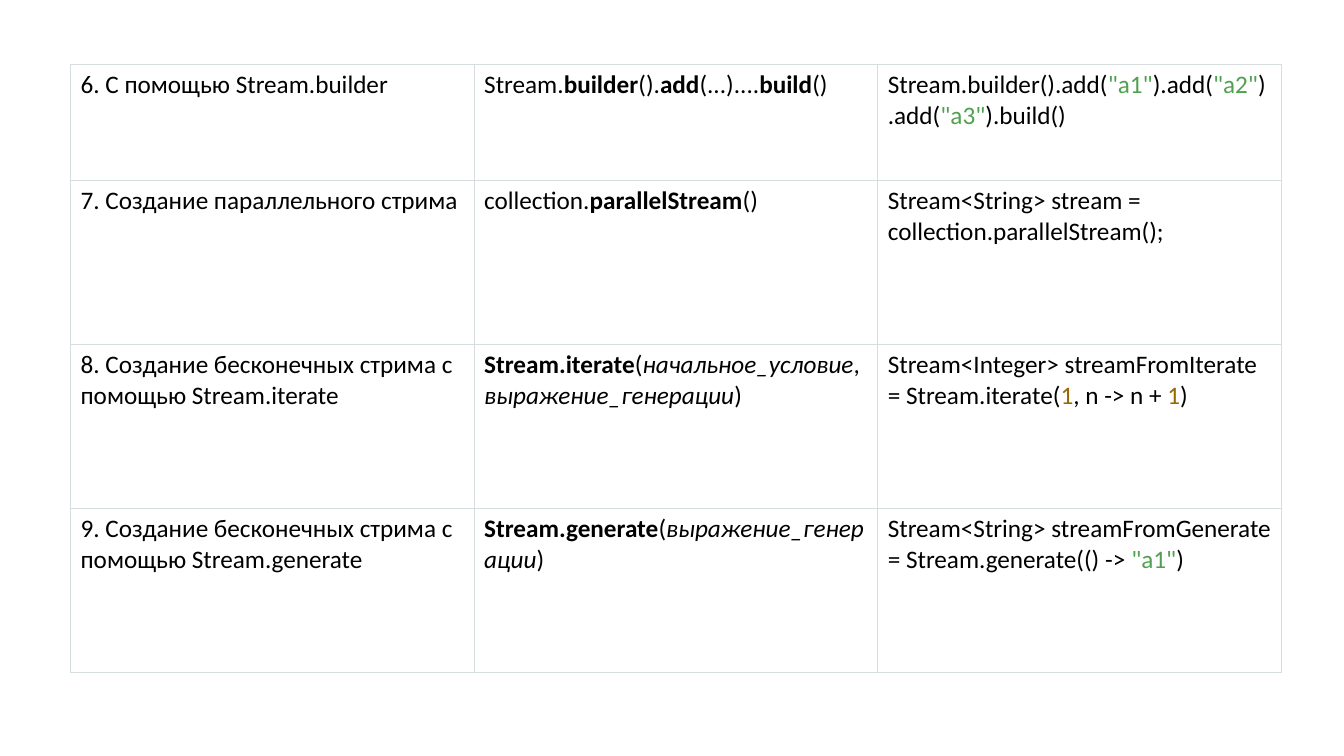
from lxml import etree
from pptx import Presentation
from pptx import util as u
from pptx.dml import color
from pptx.enum import text
from pptx.oxml import ns

COLORS = {"text": "000000", "border": "D5DDDF", "string": "50A14F", "number": "986801"}


def bold(words):
    return words, {"bold": True}


def italic(words):
    return words, {"italic": True}


def string(words):
    return words, {"tint": "string"}


def number(words):
    return words, {"tint": "number"}


STREAM_WAYS = [
    (
        ["6. С помощью Stream.builder"],
        ["Stream.", bold("builder"), "().", bold("add"), "(...)....", bold("build"), "()"],
        ["Stream.builder().add(", string('"a1"'), ").add(", string('"a2"'),
         ").add(", string('"a3"'), ").build()"],
    ),
    (
        ["7. Создание параллельного стрима"],
        ["collection.", bold("parallelStream"), "()"],
        ["Stream<String> stream = collection.parallelStream();"],
    ),
    (
        ["8. Создание бесконечных стрима с помощью Stream.iterate"],
        [bold("Stream.iterate"), "(", italic("начальное_условие"), ", ",
         italic("выражение_генерации"), ")"],
        ["Stream<Integer> streamFromIterate = Stream.iterate(", number("1"),
         ", n -> n + ", number("1"), ")"],
    ),
    (
        ["9. Создание бесконечных стрима с помощью Stream.generate"],
        [bold("Stream.generate"), "(", italic("выражение_генерации"), ")"],
        ["Stream<String> streamFromGenerate = Stream.generate(() -> ", string('"a1"'), ")"],
    ),
]


def add_text(paragraph, words, font="Calibri", size=18, tint="text", bold=False, italic=False):
    run = paragraph.add_run()
    run.text = words
    run.font.name = font
    run.font.size = u.Pt(size)
    run.font.bold = bold
    run.font.italic = italic
    run.font.color.rgb = color.RGBColor.from_string(COLORS[tint])


class SlideBuilder:
    border_width = 0.6
    insets = {"margin_left": 7.2, "margin_top": 3.6, "margin_right": 7.2, "margin_bottom": 5}

    def __init__(self, presentation):
        self.slide = presentation.slides.add_slide(presentation.slide_layouts[6])

    def table(self, left, top, column_width, row_heights, rows):
        columns = len(rows[0])
        grid = self.slide.shapes.add_table(
            len(rows), columns, u.Pt(left), u.Pt(top),
            u.Pt(column_width * columns), u.Pt(sum(row_heights))).table
        grid.first_row = grid.horz_banding = False
        for column in grid.columns:
            column.width = u.Pt(column_width)
        for row, height, entries in zip(grid.rows, row_heights, rows):
            row.height = u.Pt(height)
            for cell, parts in zip(row.cells, entries):
                self.cell(cell, parts)

    def cell(self, cell, parts):
        for side, inset in self.insets.items():
            setattr(cell, side, u.Pt(inset))
        cell.vertical_anchor = text.MSO_ANCHOR.TOP
        self.borders(cell)
        cell.fill.background()
        paragraph = cell.text_frame.paragraphs[0]
        for part in parts:
            words, style = (part, {}) if isinstance(part, str) else part
            add_text(paragraph, words, **style)

    def borders(self, cell):
        properties = cell._tc.get_or_add_tcPr()
        for side in ("a:lnL", "a:lnR", "a:lnT", "a:lnB"):
            line = etree.SubElement(properties, ns.qn(side), w=str(u.Pt(self.border_width)))
            fill = etree.SubElement(line, ns.qn("a:solidFill"))
            etree.SubElement(fill, ns.qn("a:srgbClr"), val=COLORS["border"])


def main():
    presentation = Presentation()
    presentation.slide_width = u.Pt(960)
    presentation.slide_height = u.Pt(540)
    builder = SlideBuilder(presentation)
    builder.table(50.4, 46.1, 288.3, [82.8] + [117.2] * 3, STREAM_WAYS)
    presentation.save("out.pptx")


if __name__ == "__main__":
    main()
